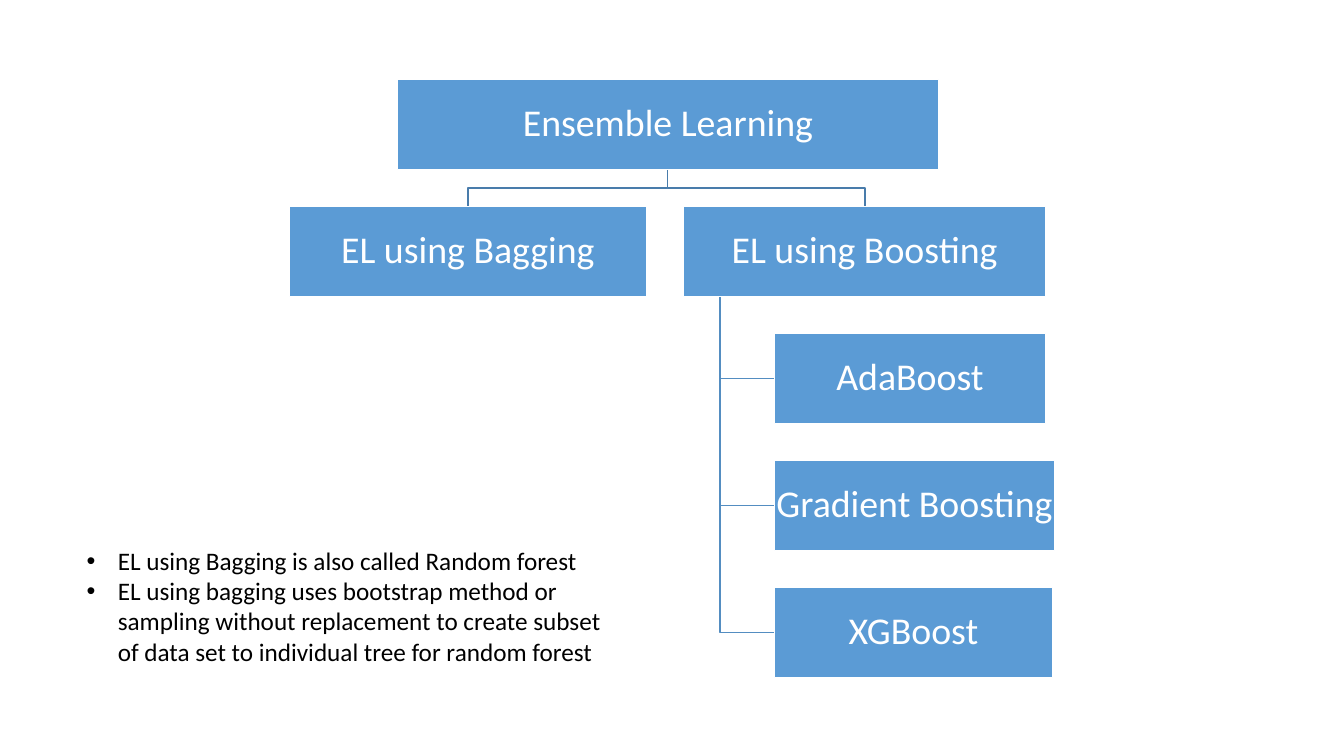
"""Build a slide with a tree of ensemble learning methods and two notes."""
import pptx
import pptx.dml.color
import pptx.enum.shapes
import pptx.enum.text
import pptx.util
from lxml import etree

Inches, Pt = pptx.util.Inches, pptx.util.Pt
COLORS = {"box": "5B9BD5", "white": "FFFFFF", "text": "000000",
          "branch": "497CAB", "leaf": "538DC1"}
TOP, PITCH, HEIGHT = 0.79, 1.26, 0.89


def rgb(name):
    return pptx.dml.color.RGBColor.from_string(COLORS[name])


def write(p, text, size=18, color="text", align=None, spacing=None, bullet=None):
    r = p.add_run()
    r.text = text
    r.font.name, r.font.size = "Calibri", Pt(size)
    r.font.color.rgb = rgb(color)
    p.alignment, p.line_spacing = align, spacing
    if bullet:
        pPr = p._p.get_or_add_pPr()
        pPr.set("marL", str(Inches(0.31)))
        pPr.set("indent", str(-Inches(0.31)))
        ns = pPr.nsmap["a"]
        etree.SubElement(pPr, f"{{{ns}}}buFont", typeface="Arial")
        etree.SubElement(pPr, f"{{{ns}}}buChar", char=bullet)


prs = pptx.Presentation()
prs.slide_width, prs.slide_height = Inches(13.33), Inches(7.5)
s = prs.slides.add_slide(prs.slide_layouts[6])

root_x, root_bottom, child_top = 6.62, TOP + HEIGHT, TOP + PITCH
fork_y = (root_bottom + child_top) / 2
trunk_x, leaf_x = 7.14, 7.68
lines = []
for row in (4, 3, 2):
    y = TOP + row * PITCH + HEIGHT / 2
    lines.append(("leaf", [(trunk_x, child_top + HEIGHT), (trunk_x, y), (leaf_x, y)]))
for x in (8.58, 4.64):
    lines.append(("branch", [(root_x, root_bottom), (root_x, fork_y),
                             (x, fork_y), (x, child_top)]))

for color, points in lines:
    (x, y), *rest = [(Inches(px), Inches(py)) for px, py in points]
    fb = s.shapes.build_freeform(x, y)
    fb.add_line_segments(rest, close=False)
    sp = fb.convert_to_shape()
    sp.shadow.inherit = False
    sp.fill.background()
    sp.line.color.rgb, sp.line.width = rgb(color), Pt(1)

boxes = [("Ensemble Learning", 0, 3.94, 5.37),
         ("EL using Bagging", 1, 2.87, 3.54),
         ("EL using Boosting", 1, 6.78, 3.59),
         ("AdaBoost", 2, leaf_x, 2.69),
         ("Gradient Boosting", 3, leaf_x, 2.78),
         ("XGBoost", 4, leaf_x, 2.76)]
for text, row, left, width in boxes:
    sp = s.shapes.add_shape(pptx.enum.shapes.MSO_SHAPE.RECTANGLE, Inches(left),
                            Inches(TOP + row * PITCH), Inches(width), Inches(HEIGHT))
    sp.shadow.inherit = False
    sp.fill.solid()
    sp.fill.fore_color.rgb = rgb("box")
    sp.line.color.rgb, sp.line.width = rgb("white"), Pt(1)
    tf = sp.text_frame
    tf.word_wrap = True
    tf.vertical_anchor = pptx.enum.text.MSO_ANCHOR.MIDDLE
    tf.margin_left = tf.margin_right = tf.margin_top = tf.margin_bottom = Inches(0.02)
    write(tf.paragraphs[0], text, size=27, color="white",
          align=pptx.enum.text.PP_ALIGN.CENTER, spacing=0.9)

notes = ["EL using Bagging is also called Random forest",
         "EL using bagging uses bootstrap method or sampling without replacement "
         "to create subset of data set to individual tree for random forest"]
tf = s.shapes.add_textbox(Inches(0.76), Inches(5.36), Inches(5.52), Inches(1.31)).text_frame
tf.word_wrap = True
tf.auto_size = pptx.enum.text.MSO_AUTO_SIZE.SHAPE_TO_FIT_TEXT
for i, note in enumerate(notes):
    p = tf.add_paragraph() if i else tf.paragraphs[0]
    write(p, note, bullet="•")

prs.save("out.pptx")
